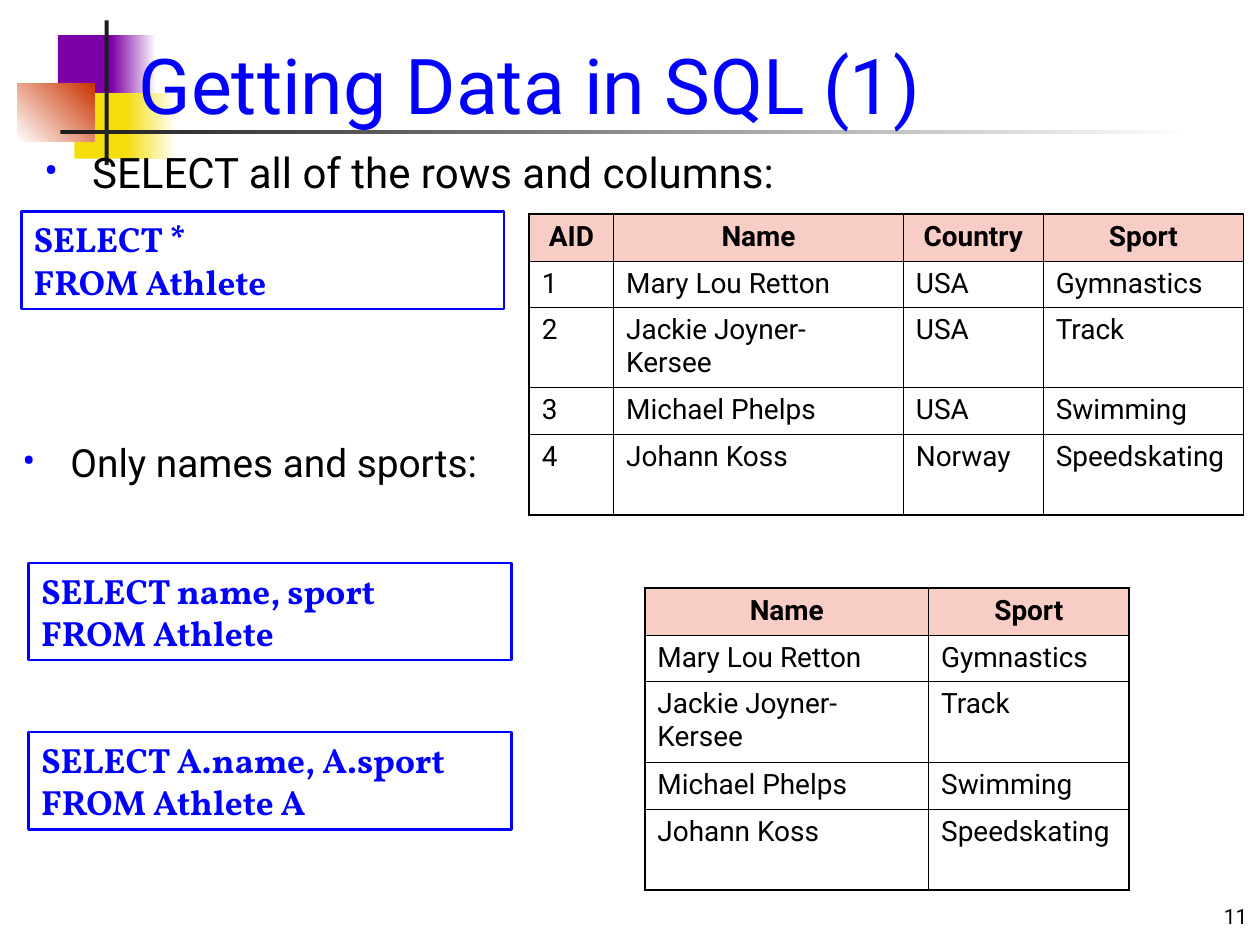
from lxml.etree import SubElement
from pptx import Presentation
from pptx.dml.color import RGBColor
from pptx.enum.shapes import MSO_SHAPE
from pptx.enum.text import MSO_ANCHOR, MSO_AUTO_SIZE, PP_ALIGN
from pptx.oxml.ns import qn
from pptx.util import Cm, Pt

COLORS = {
    "purple": "7B00A6", "yellow": "F3DD0D", "red": "CC3300", "dark": "1C1C1C",
    "white": "FFFFFF", "blue": "0000FF", "black": "000000", "header": "F8CDC6",
}
TEXT_FONT, CODE_FONT = "Roboto", "Vollkorn"
THIN, THICK = 0.45, 1.08

# All positions are left, top, width, height in centimetres.
TITLE = ("Getting Data in SQL (1)", (2.54, -0.43, 22.43, 3.18))
PAGE_NUMBER = ("11", (20.12, 17.58, 5.28, 1.27))

# Position, colours (two make a gradient), gradient angle
ORNAMENTS = [
    ((1.17, 0.71, 1.22, 1.32), ["purple"], 0),
    ((2.24, 0.71, 0.91, 1.32), ["purple", "white"], 0),
    ((1.5, 1.88, 1.17, 1.32), ["yellow"], 0),
    ((2.54, 1.88, 1.02, 1.32), ["yellow", "white"], 0),
    ((0.35, 1.68, 1.55, 1.17), ["white", "red"], 45),
    ((2.11, 0.41, 0.08, 2.92), ["dark"], 0),
    ((1.22, 2.62, 22.86, 0.08), ["dark", "white"], 0),
]
BULLETS = [
    ("SELECT all of the rows and columns:", (0.64, 2.82, 16.08, 1.37), 24),
    ("Only names and sports:", (0.2, 8.71, 10.46, 1.47), 22.2),
]
QUERIES = [
    (["SELECT *", "FROM Athlete"], (0.43, 4.27)),
    (["SELECT name, sport", "FROM Athlete"], (0.58, 11.35)),
    (["SELECT A.name, A.sport", "FROM Athlete A"], (0.58, 14.76)),
]
QUERY_SIZE = (9.73, 1.96)

ATHLETES = [
    ("AID", "Name", "Country", "Sport"),
    ("1", "Mary Lou Retton", "USA", "Gymnastics"),
    ("2", "Jackie Joyner-Kersee", "USA", "Track"),
    ("3", "Michael Phelps", "USA", "Swimming"),
    ("4", "Johann Koss", "Norway", "Speedskating"),
]
NAMES_AND_SPORTS = [(name, sport) for _, name, _, sport in ATHLETES]
ROW, TALL_ROW = 0.94, 1.63
# Rows, left and top, column widths, row heights
TABLES = [
    (ATHLETES, (10.67, 4.32), [1.7, 5.84, 2.82, 4.04], [ROW] * 4 + [TALL_ROW]),
    (NAMES_AND_SPORTS, (13, 11.86), [5.72, 4.04],
     [ROW, ROW, TALL_ROW, ROW, TALL_ROW]),
]


def rgb(name):
    return RGBColor.from_string(COLORS[name])


def add_span(para, text, size, color="black", font=TEXT_FONT, bold=False):
    span = para.add_run()
    span.text = text
    span.font.name = font
    span.font.size = Pt(size)
    span.font.bold = bold
    span.font.color.rgb = rgb(color)


def add_rectangle(page, place):
    box = page.shapes.add_shape(MSO_SHAPE.RECTANGLE, *map(Cm, place))
    box.shadow.inherit = False
    return box


def add_ornament(page, place, colors, angle):
    box = add_rectangle(page, place)
    box.line.fill.background()
    if len(colors) == 1:
        box.fill.solid()
        box.fill.fore_color.rgb = rgb(colors[0])
        return
    box.fill.gradient()
    box.fill.gradient_angle = angle
    for stop, color in zip(box.fill.gradient_stops, colors):
        stop.color.rgb = rgb(color)


def add_title(page, text, place):
    title = page.shapes.title
    title.left, title.top, title.width, title.height = map(Cm, place)
    frame = title.text_frame
    frame.auto_size = MSO_AUTO_SIZE.NONE
    frame.vertical_anchor = MSO_ANCHOR.BOTTOM
    para = frame.paragraphs[0]
    para.alignment = PP_ALIGN.LEFT
    add_span(para, text, 44, "blue")
    # Bring the title in front of the ornaments
    title.element.getparent().append(title.element)


def add_text_box(page, place):
    frame = page.shapes.add_textbox(*map(Cm, place)).text_frame
    frame.word_wrap = True
    return frame


def add_bullet(page, text, place, size):
    para = add_text_box(page, place).paragraphs[0]
    props = para._p.get_or_add_pPr()
    props.set("marL", str(Cm(0.97)))
    props.set("indent", str(-Cm(0.97)))
    color = SubElement(props, qn("a:buClr"))
    SubElement(color, qn("a:srgbClr"), val=COLORS["blue"])
    SubElement(props, qn("a:buFont"), typeface=TEXT_FONT)
    SubElement(props, qn("a:buChar"), char="•")
    add_span(para, text, size)


def add_query(page, lines, corner):
    box = add_rectangle(page, corner + QUERY_SIZE)
    box.fill.background()
    box.line.color.rgb = rgb("blue")
    box.line.width = Pt(1.5)
    frame = box.text_frame
    frame.word_wrap = True
    frame.vertical_anchor = MSO_ANCHOR.TOP
    for index, line in enumerate(lines):
        para = frame.add_paragraph() if index else frame.paragraphs[0]
        para.alignment = PP_ALIGN.LEFT
        add_span(para, line, 20, "blue", CODE_FONT, True)


def set_borders(cell, outer_sides):
    """Draw four borders, thick on the sides at the edge of the table."""
    props = cell._tc.get_or_add_tcPr()
    for side, outer in outer_sides.items():
        width = Pt(THICK if outer else THIN)
        line = SubElement(props, qn(f"a:ln{side}"), w=str(width))
        fill = SubElement(line, qn("a:solidFill"))
        SubElement(fill, qn("a:srgbClr"), val=COLORS["black"])


def add_data_table(page, rows, corner, widths, heights):
    place = (*corner, sum(widths), sum(heights))
    table = page.shapes.add_table(len(rows), len(widths), *map(Cm, place)).table
    table.horz_banding = False
    for column, width in zip(table.columns, widths):
        column.width = Cm(width)
    for row, height in zip(table.rows, heights):
        row.height = Cm(height)
    for r, values in enumerate(rows):
        for c, value in enumerate(values):
            cell = table.cell(r, c)
            set_borders(cell, {"L": c == 0, "R": c == len(widths) - 1,
                               "T": r == 0, "B": r == len(rows) - 1})
            para = cell.text_frame.paragraphs[0]
            if r == 0:
                cell.fill.solid()
                cell.fill.fore_color.rgb = rgb("header")
                para.alignment = PP_ALIGN.CENTER
            else:
                cell.fill.background()
            add_span(para, value, 16, bold=r == 0)


def main():
    deck = Presentation()
    deck.slide_width, deck.slide_height = Cm(25.4), Cm(19.05)
    page = deck.slides.add_slide(deck.slide_layouts.get_by_name("Title Only"))
    for ornament in ORNAMENTS:
        add_ornament(page, *ornament)
    add_title(page, *TITLE)
    for bullet in BULLETS:
        add_bullet(page, *bullet)
    for query in QUERIES:
        add_query(page, *query)
    for table in TABLES:
        add_data_table(page, *table)
    number, place = PAGE_NUMBER
    frame = add_text_box(page, place)
    frame.vertical_anchor = MSO_ANCHOR.BOTTOM
    frame.paragraphs[0].alignment = PP_ALIGN.RIGHT
    add_span(frame.paragraphs[0], number, 12)
    deck.save("out.pptx")


if __name__ == "__main__":
    main()
